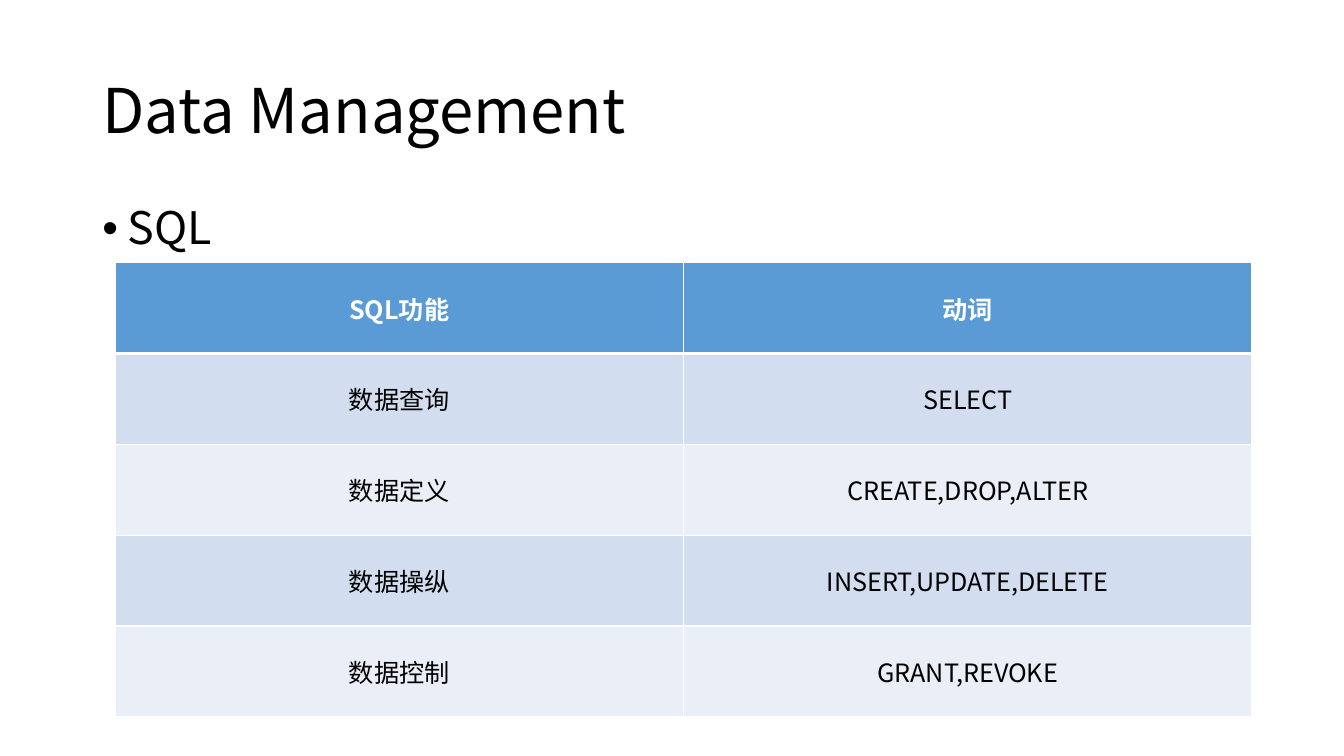
from lxml.etree import SubElement
from pptx import Presentation
from pptx.dml.color import RGBColor
from pptx.enum.text import MSO_ANCHOR as Anchor, MSO_AUTO_SIZE as AutoSize, PP_ALIGN as Align
from pptx.oxml.ns import qn
from pptx.util import Cm, Pt

ROWS = [
    ("SQL功能", "动词"),
    ("数据查询", "SELECT"),
    ("数据定义", "CREATE,DROP,ALTER"),
    ("数据操纵", "INSERT,UPDATE,DELETE"),
    ("数据控制", "GRANT,REVOKE"),
]


def color(value):
    return RGBColor.from_string(value)


class SlideBuilder:
    font = "Noto Sans CJK SC"
    black = "000000"
    white = "FFFFFF"
    header_fill = "5B9BD5"
    band_fills = ("EAEFF7", "D2DEEF")

    def __init__(self, presentation):
        self.slide = presentation.slides.add_slide(presentation.slide_layouts[5])

    def format_runs(self, paragraph, size, text_color, bold=False):
        for run in paragraph.runs:
            run.font.name = self.font
            run.font.size = Pt(size)
            run.font.bold = bold
            run.font.color.rgb = color(text_color)
            SubElement(run.font._element, qn("a:ea"), typeface=self.font)

    def title(self, text, left, top, width, height):
        title = self.slide.shapes.title
        title.left, title.top, title.width, title.height = map(Cm, (left, top, width, height))
        frame = title.text_frame
        frame.text = text
        frame.auto_size = AutoSize.NONE
        frame.vertical_anchor = Anchor.MIDDLE
        paragraph = frame.paragraphs[0]
        paragraph.alignment = Align.LEFT
        paragraph.line_spacing = 0.9
        self.format_runs(paragraph, 44, self.black)

    def bullet(self, text, left, top, width, height):
        box = self.slide.shapes.add_textbox(*map(Cm, (left, top, width, height)))
        frame = box.text_frame
        frame.word_wrap = True
        frame.text = text
        paragraph = frame.paragraphs[0]
        paragraph.line_spacing = 0.9
        paragraph.space_before = Pt(10)
        self.format_runs(paragraph, 32, self.black)
        properties = paragraph._p.get_or_add_pPr()
        indent = Cm(0.64)
        properties.set("marL", str(indent))
        properties.set("indent", str(-indent))
        SubElement(properties, qn("a:buFont"), typeface="Arial")
        SubElement(properties, qn("a:buChar"), char="•")

    def cell_borders(self, cell, bottom_width):
        properties = cell._tc.get_or_add_tcPr()
        for side, width in (("L", 1), ("R", 1), ("T", 1), ("B", bottom_width)):
            line = SubElement(properties, qn(f"a:ln{side}"), w=str(Pt(width)))
            fill = SubElement(line, qn("a:solidFill"))
            SubElement(fill, qn("a:srgbClr"), val=self.white)

    def table(self, rows, left, top, width, height):
        frame = self.slide.shapes.add_table(
            len(rows), len(rows[0]), *map(Cm, (left, top, width, height)))
        for row_index, row in enumerate(rows):
            header = row_index == 0
            for column_index, text in enumerate(row):
                cell = frame.table.cell(row_index, column_index)
                cell.text_frame.text = text
                cell.vertical_anchor = Anchor.MIDDLE
                self.cell_borders(cell, 3 if header else 1)
                cell.fill.solid()
                cell.fill.fore_color.rgb = color(
                    self.header_fill if header else self.band_fills[row_index % 2])
                paragraph = cell.text_frame.paragraphs[0]
                paragraph.alignment = Align.CENTER
                self.format_runs(paragraph, 18, self.white if header else self.black, header)


def main():
    presentation = Presentation()
    presentation.slide_width = Cm(33.87)
    presentation.slide_height = Cm(19.05)
    builder = SlideBuilder(presentation)
    builder.title("Data Management", 2.33, 1.01, 29.21, 3.68)
    builder.bullet("SQL", 2.33, 5.07, 29.21, 12.09)
    builder.table(ROWS, 2.9, 6.62, 28.65, 11.45)
    presentation.save("out.pptx")


if __name__ == "__main__":
    main()
